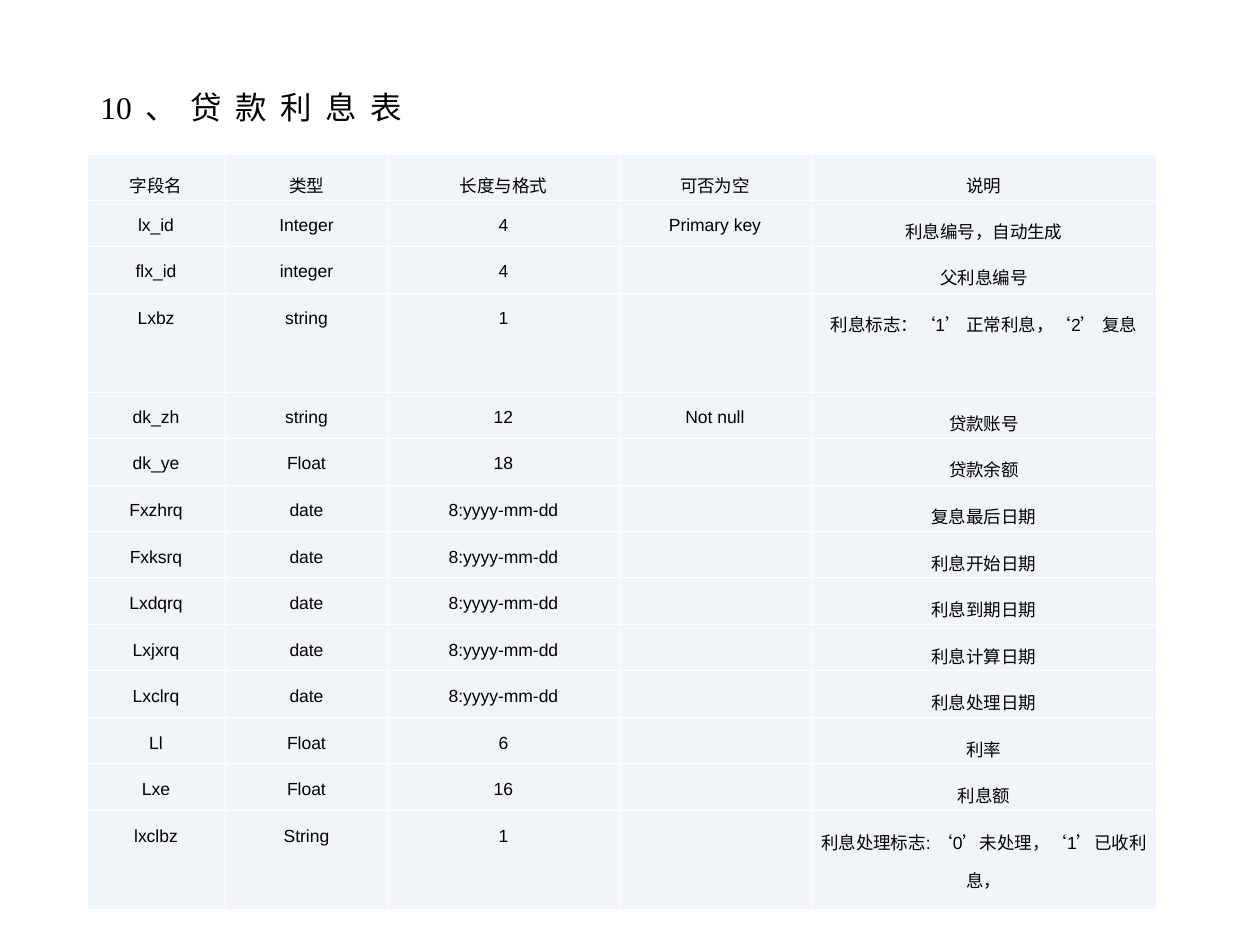
from itertools import pairwise
from lxml import etree
from pptx import Presentation
from pptx.dml.color import RGBColor
from pptx.enum.text import MSO_ANCHOR, PP_ALIGN
from pptx.oxml.ns import qn
from pptx.util import Emu, Pt

SCALE = 914400 / 126
CENTER, LEFT, TOP = PP_ALIGN.CENTER, PP_ALIGN.LEFT, MSO_ANCHOR.TOP
COLORS = {"text": "000000", "cell": "F1F5FA", "rule": "FFFFFF"}
SIDES = ("a:lnL", "a:lnR", "a:lnT", "a:lnB")

# Title runs with their letter spacing in hundredths of a point
TITLE = [("1", 0), ("0、贷款利息表", 770)]
DAY = "8:yyyy-mm-dd"
FIELDS = [
    ("字段名", "类型", "长度与格式", "可否为空", "说明"),
    ("lx_id", "Integer", "4", "Primary key", "利息编号，自动生成"),
    ("flx_id", "integer", "4", "", "父利息编号"),
    ("Lxbz", "string", "1", "", "利息标志：‘1’ 正常利息，‘2’ 复息"),
    ("dk_zh", "string", "12", "Not null", "贷款账号"),
    ("dk_ye", "Float", "18", "", "贷款余额"),
    ("Fxzhrq", "date", DAY, "", "复息最后日期"),
    ("Fxksrq", "date", DAY, "", "利息开始日期"),
    ("Lxdqrq", "date", DAY, "", "利息到期日期"),
    ("Lxjxrq", "date", DAY, "", "利息计算日期"),
    ("Lxclrq", "date", DAY, "", "利息处理日期"),
    ("Ll", "Float", "6", "", "利率"),
    ("Lxe", "Float", "16", "", "利息额"),
    ("lxclbz", "String", "1", "", "利息处理标志: ‘0’未处理，‘1’已收利息，"),
]
# Grid lines of the table
COLS = [87, 225, 388, 619, 811, 1157]
ROWS = [154, 200, 246, 293, 392, 438, 485, 532, 578, 625, 671, 718, 764, 811, 910]


def px(n):
    return Emu(round(n * SCALE))


def style(para, size, face, align):
    para.alignment = align
    para.line_spacing = 1.5
    para.font.size = Pt(size)
    para.font.name = face
    para.font.color.rgb = RGBColor.from_string(COLORS["text"])


def add_title(slide):
    box = slide.shapes.add_textbox(px(88), px(63), px(350), px(69))
    frame = box.text_frame
    frame.word_wrap = False
    para = frame.paragraphs[0]
    for text, gap in TITLE:
        run = para.add_run()
        run.text = text
        run._r.get_or_add_rPr().set("spc", str(gap))
    style(para, 18, "Times New Roman", LEFT)


def add_rules(cell):
    props = cell._tc.get_or_add_tcPr()
    for n, side in enumerate(SIDES):
        line = etree.Element(qn(side), w=str(Pt(0.45)))
        fill = etree.SubElement(line, qn("a:solidFill"))
        etree.SubElement(fill, qn("a:srgbClr"), val=COLORS["rule"])
        props.insert(n, line)


def fill_cell(cell, text):
    cell.fill.solid()
    cell.fill.fore_color.rgb = RGBColor.from_string(COLORS["cell"])
    add_rules(cell)
    cell.margin_left = cell.margin_right = px(10)
    cell.margin_top = cell.margin_bottom = px(6)
    cell.vertical_anchor = TOP
    para = cell.text_frame.paragraphs[0]
    if text:
        para.text = text
        style(para, 10, "Arial", CENTER)
    else:
        # Keep an empty cell from stretching its row
        etree.SubElement(para._p, qn("a:endParaRPr"), sz="1000")


def add_grid(slide):
    frame = slide.shapes.add_table(
        len(FIELDS), len(COLS) - 1, px(COLS[0]), px(ROWS[0]),
        px(COLS[-1] - COLS[0]), px(ROWS[-1] - ROWS[0]))
    table = frame.table
    table.first_row = table.horz_banding = False
    for col, (left, right) in zip(table.columns, pairwise(COLS)):
        col.width = px(right - left)
    for row, (top, base), field in zip(table.rows, pairwise(ROWS), FIELDS):
        row.height = px(base - top)
        for cell, text in zip(row.cells, field):
            fill_cell(cell, text)


def main():
    deck = Presentation()
    deck.slide_width, deck.slide_height = px(1260), px(945)
    slide = deck.slides.add_slide(deck.slide_layouts[6])
    add_title(slide)
    add_grid(slide)
    deck.save("out.pptx")


if __name__ == "__main__":
    main()
